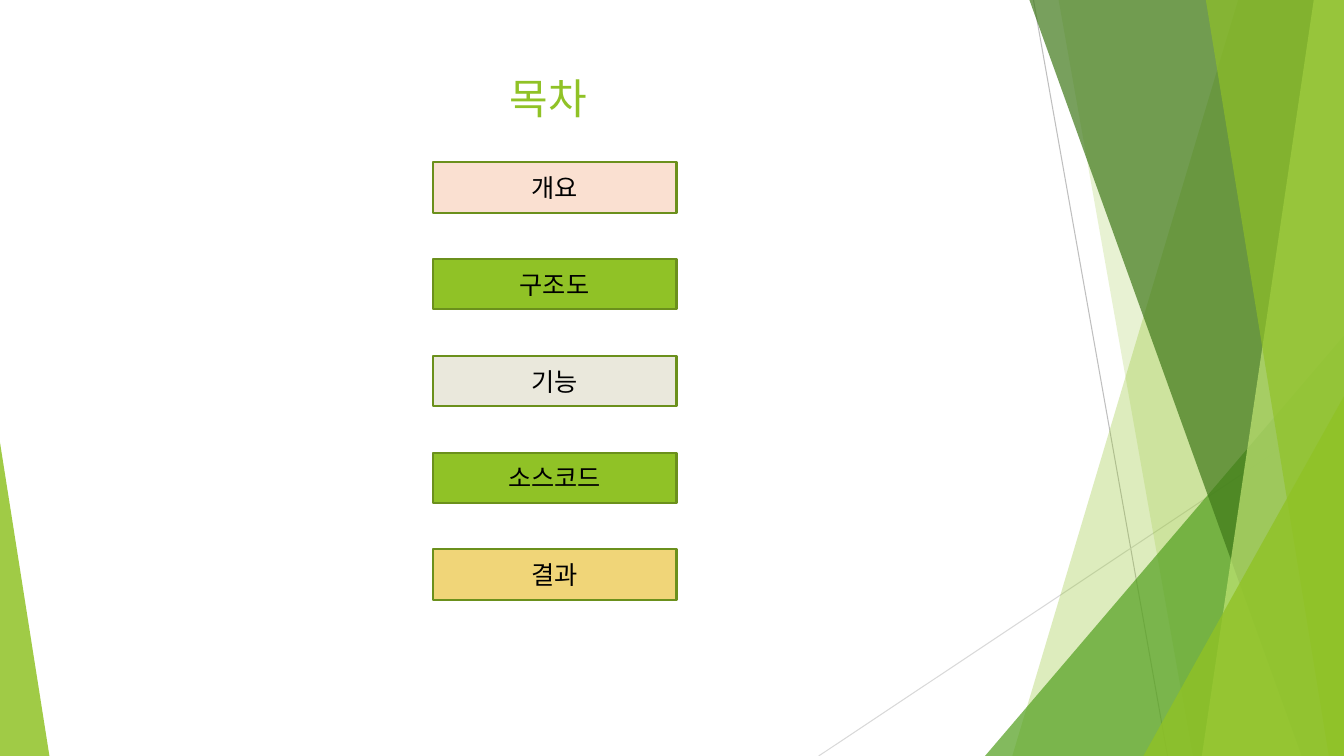
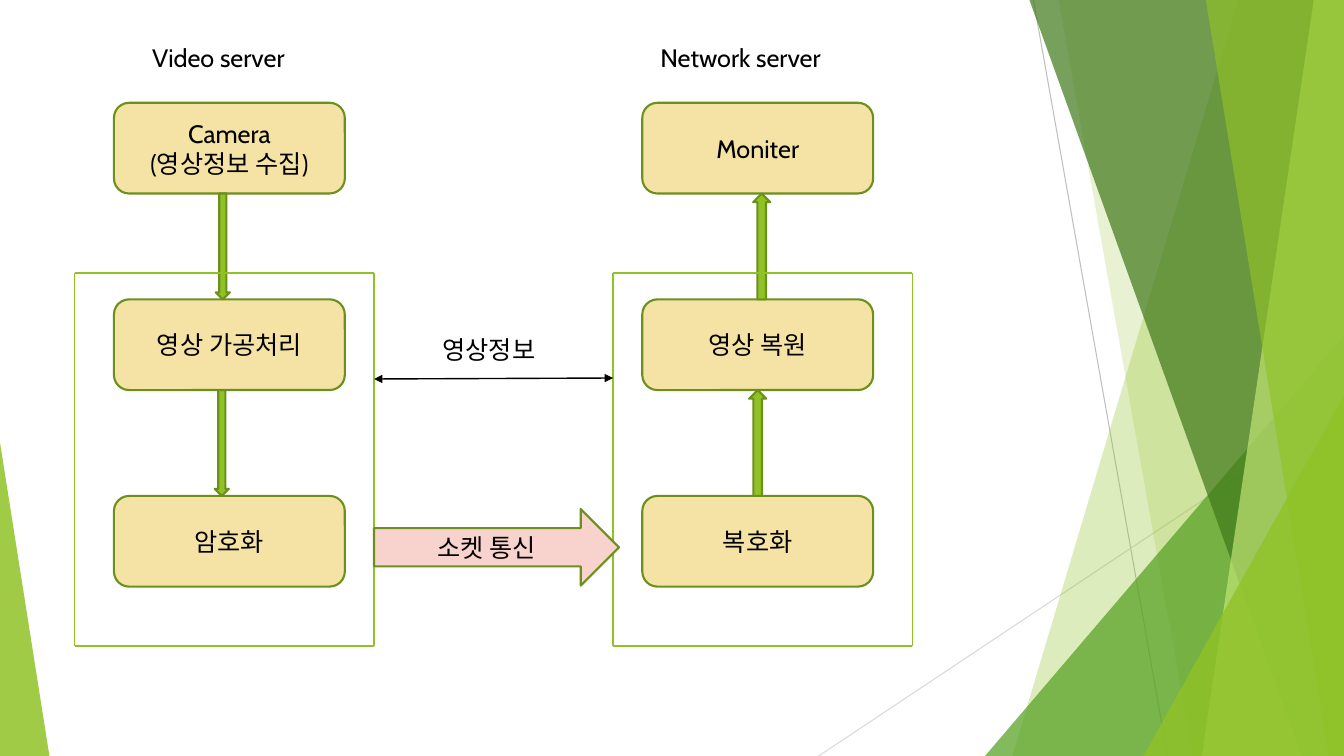
import lxml.etree
import pptx
import pptx.dml.color
import pptx.enum.shapes
import pptx.enum.text
import pptx.oxml.ns
import pptx.util

Inches = pptx.util.Inches
Pt = pptx.util.Pt
qn = pptx.oxml.ns.qn
rgb = pptx.dml.color.RGBColor.from_string
Shape = pptx.enum.shapes.MSO_SHAPE
Align = pptx.enum.text.PP_ALIGN
Anchor = pptx.enum.text.MSO_ANCHOR


class Theme:
    font = "Cabin"
    title_size = Pt(30)
    body_size = Pt(18)
    width, height = 13.33, 7.5
    ink = "000000"
    green = "90C226"
    border = "6B901C"
    mid_green = "54A021"
    dark_green = "3F7819"
    pale_green = "C0E474"
    gray = "BFBFBF"
    light_gray = "D9D9D9"
    peach = "FAE0D1"
    stone = "EAE8DC"
    gold = "F0D578"
    cream = "F5E3A5"
    pink = "F8D2CC"


def add_line(shapes, start, end, color, width):
    line = shapes.add_connector(
        pptx.enum.shapes.MSO_CONNECTOR.STRAIGHT,
        *(Inches(value) for value in (*start, *end)))
    line.line.color.rgb = rgb(color)
    line.line.width = Pt(width)
    lxml.etree.SubElement(line.element.spPr, qn("a:effectLst"))
    return line


def add_box(shapes, kind, bounds, fill, text=""):
    box = shapes.add_shape(kind, *(Inches(value) for value in bounds))
    box.shadow.inherit = False
    box.fill.solid()
    box.fill.fore_color.rgb = rgb(fill)
    box.line.color.rgb = rgb(Theme.border)
    box.line.width = Pt(1.5)
    if text:
        box.text_frame.text = text
        box.text_frame.vertical_anchor = Anchor.MIDDLE
        for para in box.text_frame.paragraphs:
            para.alignment = Align.CENTER
            para.font.name = Theme.font
            para.font.size = Theme.body_size
            para.font.color.rgb = rgb(Theme.ink)
    return box


deck = pptx.Presentation()
deck.slide_width = Inches(Theme.width)
deck.slide_height = Inches(Theme.height)
agenda = deck.slides.add_slide(deck.slide_layouts.get_by_name("Title Only"))
diagram = deck.slides.add_slide(deck.slide_layouts.get_by_name("Blank"))

# Shared scenery: panels are (top x, bottom x) up to the right edge,
# triangles are (left, top, width, apex) down to the bottom edge
scenery = agenda.shapes.add_group_shape()
add_line(scenery.shapes, (10.25, 0), (11.58, 7.5), Theme.gray, 0.75)
add_line(scenery.shapes, (13.33, 4.03), (8.12, 7.5), Theme.light_gray, 0.75)
for kind, geometry, color, opacity in (
    ("panel", (12.28, 10.04), Theme.green, 30),
    ("panel", (10.5, 11.83), Theme.green, 20),
    ("triangle", (9.77, 3.33, 3.56, 1), Theme.mid_green, 72),
    ("panel", (10.21, 12.91), Theme.dark_green, 70),
    ("panel", (13.03, 11.92), Theme.pale_green, 70),
    ("panel", (11.96, 13.18), Theme.green, 65),
    ("triangle", (11.34, 3.93, 1.99, 1), Theme.green, 80),
    ("triangle", (0, 4.39, 0.49, 0), Theme.green, 85),
):
    if kind == "panel":
        top_x, bottom_x = geometry
        outline = scenery.shapes.build_freeform(Inches(top_x), 0)
        corners = ((Theme.width, 0), (Theme.width, Theme.height),
                   (bottom_x, Theme.height))
        outline.add_line_segments(
            [(Inches(x), Inches(y)) for x, y in corners], close=True)
        facet = outline.convert_to_shape()
    else:
        left, top, width, apex = geometry
        facet = scenery.shapes.add_shape(
            Shape.ISOSCELES_TRIANGLE, Inches(left), Inches(top),
            Inches(width), Inches(Theme.height - top))
        facet.adjustments[0] = apex
    facet.shadow.inherit = False
    facet.line.fill.background()
    facet.fill.solid()
    facet.fill.fore_color.rgb = rgb(color)
    color_node = facet.element.spPr.find(qn("a:solidFill"))[0]
    lxml.etree.SubElement(color_node, qn("a:alpha"), val=str(opacity * 1000))

# Move the scenery to the master, with ids that are free there
for number, properties in enumerate(scenery.element.iter(qn("p:cNvPr")), 100):
    properties.set("id", str(number))
deck.slide_master.shapes.element.insert(2, scenery.element)

# Slide 1: title
title = agenda.shapes.title
title.left, title.top = Inches(0.74), Inches(0.67)
title.width, title.height = Inches(9.4), Inches(1.44)
title.text_frame.text = "목차"
title.text_frame.vertical_anchor = Anchor.TOP
para = title.text_frame.paragraphs[0]
para.alignment = Align.CENTER
para.font.name = Theme.font
para.font.size = Theme.title_size
para.font.color.rgb = rgb(Theme.green)

# Slide 1: agenda
for row, (topic, fill) in enumerate((
    ("개요", Theme.peach),
    ("구조도", Theme.green),
    ("기능", Theme.stone),
    ("소스코드", Theme.green),
    ("결과", Theme.gold),
)):
    add_box(agenda.shapes, Shape.RECTANGLE,
            (4.29, 1.61 + 0.96 * row, 2.42, 0.5), fill, topic)

# Slide 2: the two servers, each with steps, arrows and a frame
first_top, row_pitch, step_height = 1.02, 1.95, 0.9
frame_top, frame_bottom, frame_width = 2.71, 6.41, 2.97
for step_left, steps, arrow_kind, arrow_lefts, arrow_width, frame_left in (
    (1.13, ("Camera\n(영상정보 수집)", "영상 가공처리", "암호화"),
     Shape.DOWN_ARROW, (2.14, 2.13), 0.14, 0.74),
    (6.37, ("Moniter", "영상 복원", "복호화"),
     Shape.UP_ARROW, (7.47, 7.43), 0.17, 6.08),
):
    for row, step in enumerate(steps):
        add_box(diagram.shapes, Shape.ROUNDED_RECTANGLE,
                (step_left, first_top + row_pitch * row, 2.29, step_height),
                Theme.cream, step)
    for row, arrow_left in enumerate(arrow_lefts):
        arrow_top = first_top + row_pitch * row + step_height
        add_box(diagram.shapes, arrow_kind,
                (arrow_left, arrow_top, arrow_width, row_pitch - step_height),
                Theme.green)
    frame_right = frame_left + frame_width
    corners = ((frame_left, frame_top), (frame_right, frame_top),
               (frame_right, frame_bottom), (frame_left, frame_bottom))
    for start, end in zip(corners, corners[1:] + corners[:1]):
        add_line(diagram.shapes, start, end, Theme.green, 1)

# Slide 2: links between the servers
socket = add_box(diagram.shapes, Shape.RIGHT_ARROW, (3.71, 5.05, 2.43, 0.76),
                 Theme.pink, "소켓 통신")
link = add_line(diagram.shapes, (3.71, 3.76), (6.08, 3.75), Theme.ink, 1)
for end_tag in ("a:headEnd", "a:tailEnd"):
    lxml.etree.SubElement(link.element.spPr.find(qn("a:ln")), qn(end_tag),
                          type="triangle")

# Slide 2: labels
for text, left, top, width in (
    ("Video server", 1.41, 0.37, 2.21),
    ("Network server", 6.45, 0.37, 2.21),
    ("영상정보", 4.29, 3.27, 1.6),
):
    label = diagram.shapes.add_textbox(
        Inches(left), Inches(top), Inches(width), Inches(0.4))
    label.text_frame.word_wrap = True
    label.text_frame.text = text
    para = label.text_frame.paragraphs[0]
    para.font.name = Theme.font
    para.font.size = Theme.body_size
    para.font.color.rgb = rgb(Theme.ink)

deck.save("out.pptx")
